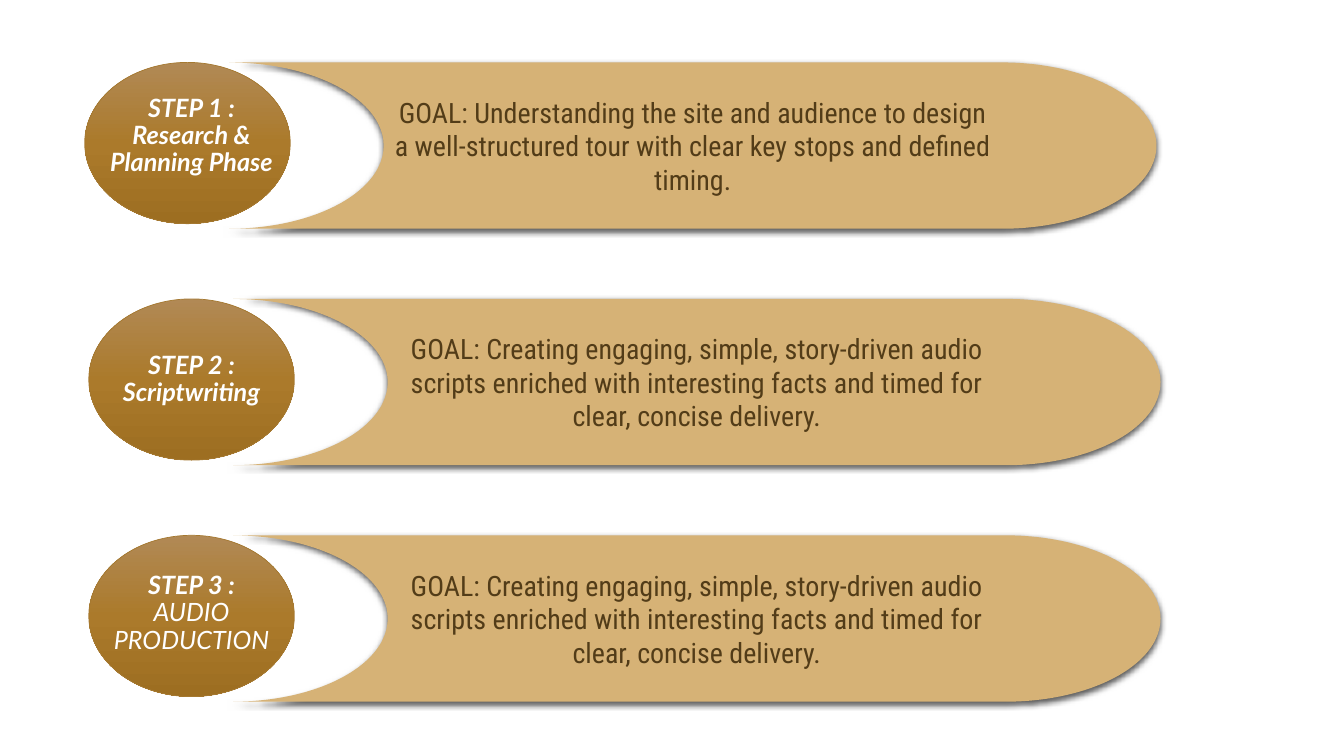
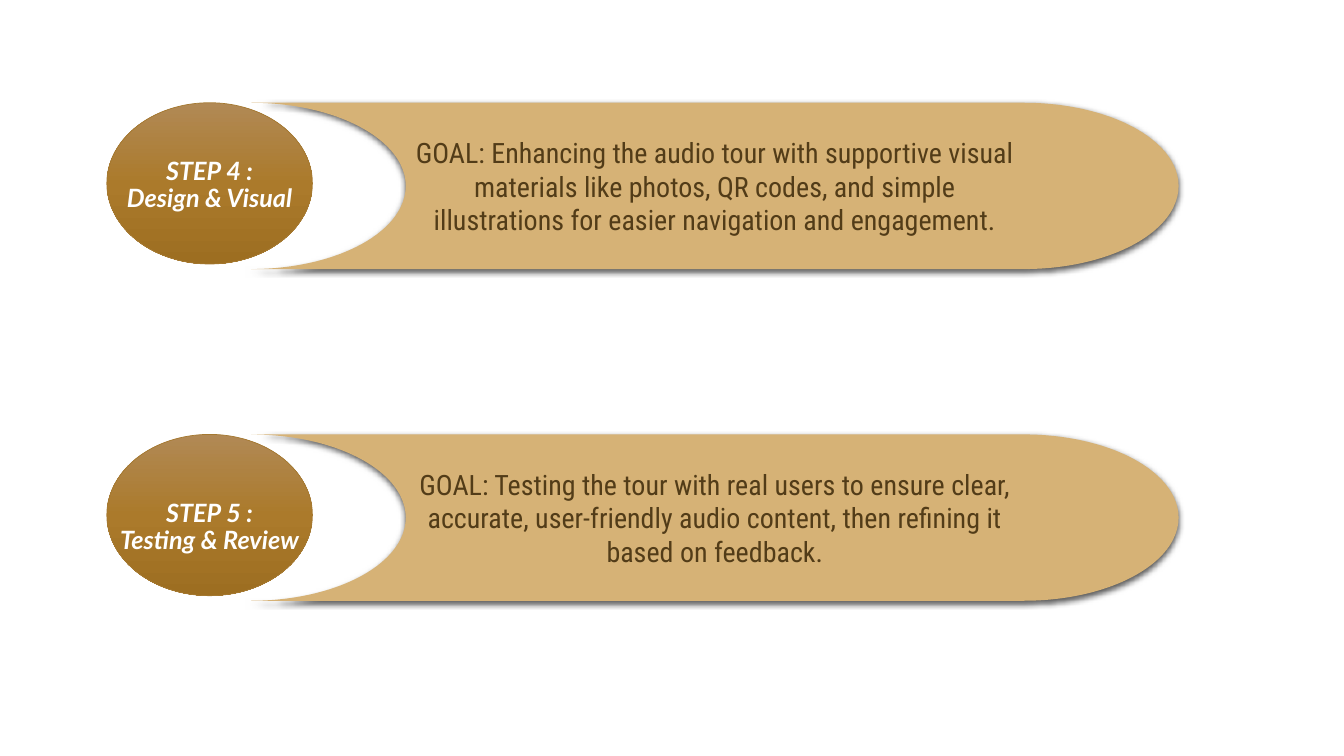
from copy import deepcopy
from dataclasses import dataclass

from lxml import etree
from pptx import Presentation
from pptx.dml.color import RGBColor
from pptx.enum import shapes, text
from pptx.oxml.ns import qn
from pptx.util import Pt


@dataclass(frozen=True)
class Theme:
    bar: str = "D6B276"
    goal: str = "523C18"
    label: str = "FFFFFF"
    outline: str = "A57931"
    shadow: str = "000000"
    gradient: tuple = ((0, "B18955"), (0.5, "AB7A2B"), (1, "9D6E21"))
    label_font: str = "Lato"
    goal_font: str = "Roboto Condensed"
    label_size: int = 18
    goal_size: int = 20


@dataclass(frozen=True)
class Step:
    name: str
    phase: str
    goal: str
    label_drop: float
    left: float
    phase_bold: bool = True


THEME = Theme()
OVAL_W, OVAL_H = 146.9, 115.2
BAR_W, BAR_H, BAR_SHIFT = 662.4, 118.8, 103.2
LABEL_W, LABEL_H = 152.6, 64.1

SCRIPT_GOAL = ("GOAL: Creating engaging, simple, story-driven audio scripts enriched "
               "with interesting facts and timed for clear, concise delivery.")

SLIDES = (
    dict(top=44.6, pitch=168.9, label_left=60.5, steps=(
        Step("STEP 1 :", "Research & Planning Phase",
             "GOAL: Understanding the site and audience to design a "
             "well-structured tour with clear key stops and defined timing.",
             21.6, 60.5),
        Step("STEP 2 :", "Scriptwriting", SCRIPT_GOAL, 16.9, 63.4),
        Step("STEP 3 :", "AUDIO PRODUCTION", SCRIPT_GOAL, 24.5, 63.4, False),
    )),
    dict(top=73.4, pitch=236.9, label_left=73.4, steps=(
        Step("STEP 4 :", "Design & Visual",
             "GOAL: Enhancing the audio tour with supportive visual materials like "
             "photos, QR codes, and simple illustrations for easier navigation "
             "and engagement.", 18, 76.3),
        Step("STEP 5 :", "Testing & Review",
             "GOAL: Testing the tour with real users to ensure clear, accurate, "
             "user-friendly audio content, then refining it based on feedback.",
             25.9, 76.3),
    )),
)


def rgb(value):
    return RGBColor.from_string(value)


def write(p, content, *, font, size, color, bold=False, italic=False):
    r = p.add_run()
    r.text = content
    r.font.name = font
    r.font.size = Pt(size)
    r.font.color.rgb = rgb(color)
    r.font.bold = bold
    r.font.italic = italic


def prepare(sp, anchor):
    tf = sp.text_frame
    tf.word_wrap = True
    tf.vertical_anchor = anchor
    p = tf.paragraphs[0]
    p.alignment = text.PP_ALIGN.CENTER
    return p


def add_shape(slide, kind, left, top, width, height):
    sp = slide.shapes.add_shape(kind, Pt(left), Pt(top), Pt(width), Pt(height))
    sp.shadow.inherit = False
    return sp


def add_oval(slide, left, top):
    sp = add_shape(slide, shapes.MSO_SHAPE.OVAL, left, top, OVAL_W, OVAL_H)
    sp.fill.gradient()
    stop_list = sp._element.spPr.find(".//" + qn("a:gsLst"))
    stop_list.insert(1, deepcopy(stop_list[0]))
    for stop, (position, color) in zip(sp.fill.gradient_stops, THEME.gradient):
        stop.position = position
        stop.color.rgb = rgb(color)
    sp.fill.gradient_angle = 270
    sp.line.color.rgb = rgb(THEME.outline)
    sp.line.width = Pt(0.5)


def drop_shadow(sp):
    effects = sp._element.spPr.find(qn("a:effectLst"))
    shadow = etree.SubElement(effects, qn("a:outerShdw"), blurRad=str(Pt(4.5)),
                              dist=str(Pt(1.5)), dir="5400000", rotWithShape="0")
    color = etree.SubElement(shadow, qn("a:srgbClr"), val=THEME.shadow)
    etree.SubElement(color, qn("a:alpha"), val="63000")


def add_bar(slide, left, top, goal):
    sp = add_shape(slide, shapes.MSO_SHAPE.FLOWCHART_STORED_DATA,
                   left, top, BAR_W, BAR_H)
    sp._element.spPr.find(qn("a:xfrm")).set("flipH", "1")
    sp.fill.solid()
    sp.fill.fore_color.rgb = rgb(THEME.bar)
    sp.line.fill.background()
    drop_shadow(sp)
    write(prepare(sp, text.MSO_ANCHOR.MIDDLE), goal, font=THEME.goal_font,
          size=THEME.goal_size, color=THEME.goal)


def add_label(slide, left, top, step):
    sp = slide.shapes.add_textbox(Pt(left), Pt(top), Pt(LABEL_W), Pt(LABEL_H))
    p = prepare(sp, text.MSO_ANCHOR.BOTTOM)
    p.line_spacing = 0.9
    style = dict(font=THEME.label_font, size=THEME.label_size,
                 color=THEME.label, italic=True)
    write(p, step.name, bold=True, **style)
    p.add_line_break()
    write(p, step.phase, bold=step.phase_bold, **style)


def add_steps(slide, top, pitch, label_left, steps):
    for i, step in enumerate(steps):
        y = top + i * pitch
        add_oval(slide, step.left, y)
        add_bar(slide, step.left + BAR_SHIFT, y, step.goal)
        add_label(slide, label_left, y + step.label_drop, step)


def main():
    prs = Presentation()
    prs.slide_width, prs.slide_height = Pt(960), Pt(540)
    for content in SLIDES:
        add_steps(prs.slides.add_slide(prs.slide_layouts[6]), **content)
    prs.save("out.pptx")


if __name__ == "__main__":
    main()
